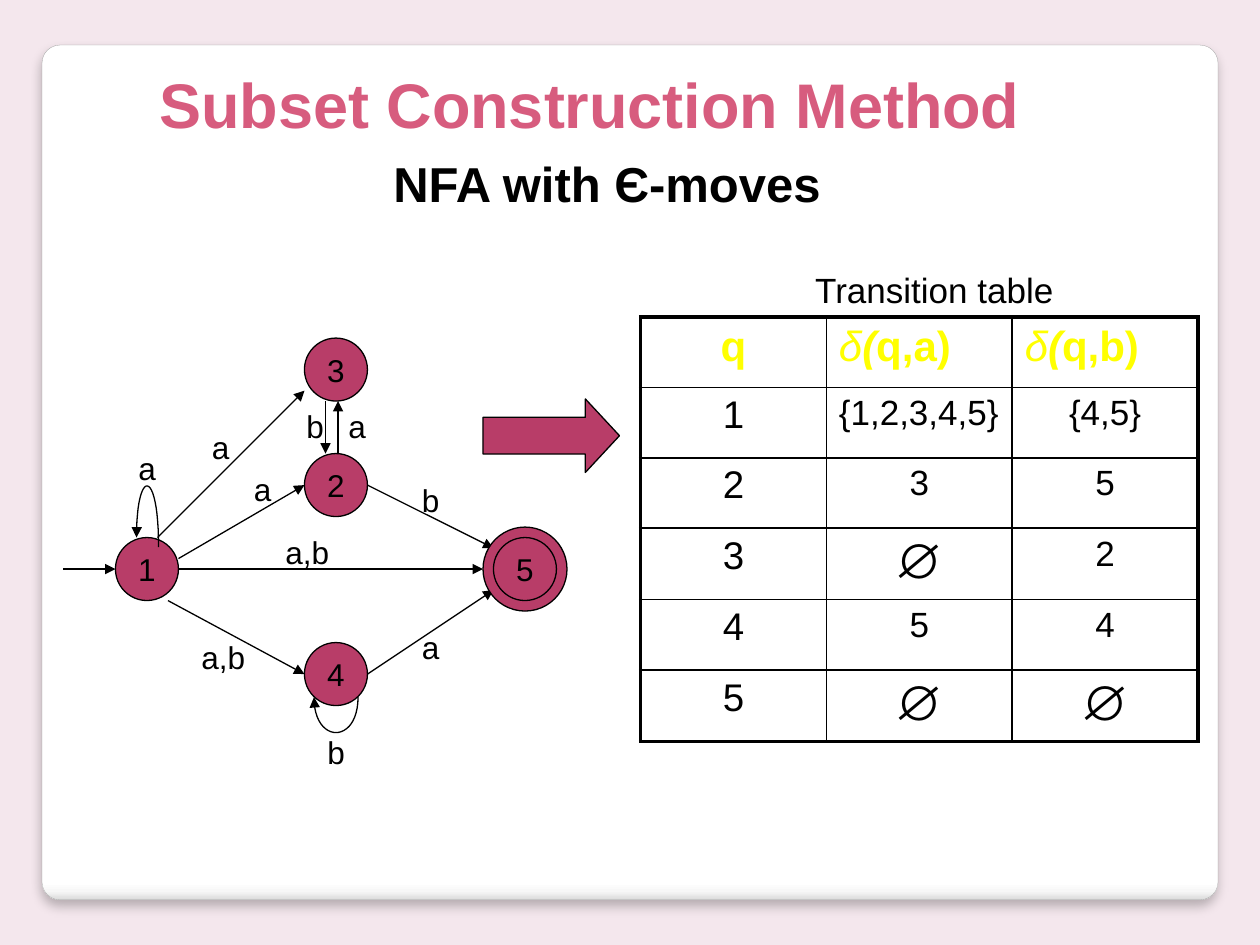
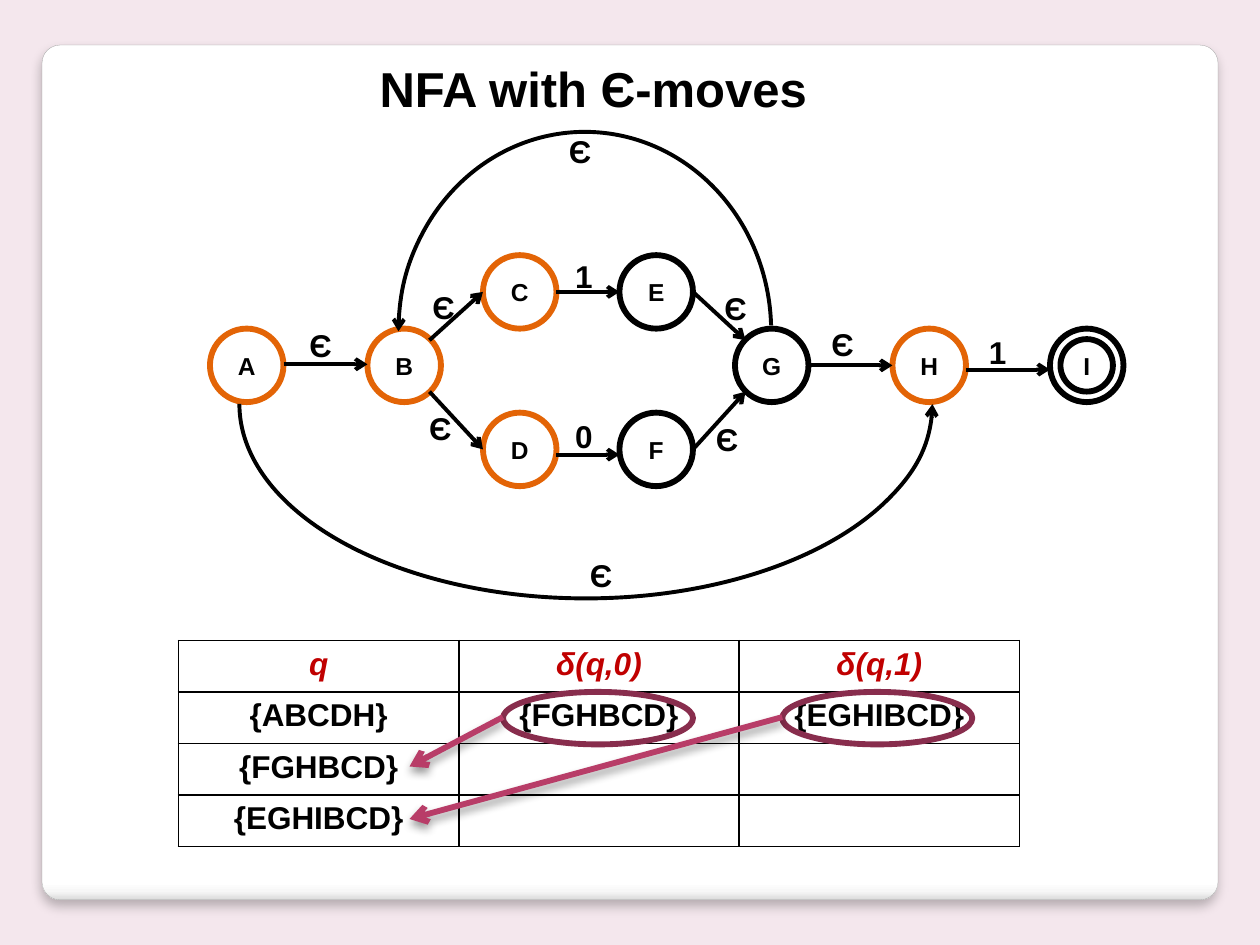
import lxml.etree
import pptx
import pptx.dml.color
import pptx.enum.shapes
import pptx.enum.text
import pptx.oxml.ns
import pptx.util

SHAPE = pptx.enum.shapes.MSO_SHAPE
ALIGN = pptx.enum.text.PP_ALIGN
ANCHOR = pptx.enum.text.MSO_ANCHOR
BLACK, WHITE, BACKDROP = "000000", "FFFFFF", "F4E7ED"
ROSE, TITLE_ROSE, PLUM, ORANGE = "B83D68", "D75C7E", "882D4D", "E36406"
YELLOW, RED = "FFFF00", "C00000"
PX = 7620


def px(*lengths):
    return [round(length * PX) for length in lengths]


def color(value):
    return pptx.dml.color.RGBColor.from_string(value)


def assign(target, **values):
    for name, value in values.items():
        setattr(target, name, value)


def child(parent, tag, **attributes):
    element = lxml.etree.SubElement(parent, pptx.oxml.ns.qn(tag))
    for name, value in attributes.items():
        element.set(name, str(value))
    return element


class Sketch:
    font = "Arial"

    def __init__(self):
        self.deck = pptx.Presentation()
        width, height = px(1200, 900)
        assign(self.deck, slide_width=width, slide_height=height)
        self.page = None

    def new_page(self):
        self.page = self.deck.slides.add_slide(self.deck.slide_layouts[6])
        fill = self.page.background.fill
        fill.solid()
        fill.fore_color.rgb = color(BACKDROP)
        card = self.shape(SHAPE.ROUNDED_RECTANGLE, 40, 43, 1120, 814, line="A4A4A4",
                          weight=0.16, adjust=[0.021], shadow=(25, 6, 4))
        card.fill.gradient()
        card.fill.gradient_angle = 270
        stops = card._element.spPr.find(".//" + pptx.oxml.ns.qn("a:gsLst"))
        for stop in list(stops):
            stops.remove(stop)
        for percent, tone in ((0, WHITE), (98, WHITE), (99, "F7F7F7"), (100, "DADADA")):
            child(child(stops, "a:gs", pos=percent * 1000), "a:srgbClr", val=tone)

    def outline(self, item, tone, weight, head=None, tail=None, shadow=None):
        item.line.color.rgb = color(tone)
        item.line.width = pptx.util.Pt(weight)
        for tag, kind in (("a:headEnd", head), ("a:tailEnd", tail)):
            if kind:
                child(item.line._get_or_add_ln(), tag, type=kind)
        effects = child(item._element.spPr, "a:effectLst")
        if shadow:
            alpha, blur, distance = shadow
            cast = child(effects, "a:outerShdw", blurRad=round(blur * 12700),
                         dist=distance * 12700, dir=5400000, algn="t", rotWithShape=0)
            child(child(cast, "a:srgbClr", val=BLACK), "a:alpha", val=alpha * 1000)

    def add_spans(self, para, spans, size, align=ALIGN.LEFT, tone=BLACK, **style):
        para.alignment = align
        for text, extra in spans:
            span = para.add_run()
            span.text = text
            assign(span.font, name=self.font, size=pptx.util.Pt(size), **{**style, **extra})
            span.font.color.rgb = color(tone)

    def shape(self, kind, left, top, width, height, fill=None, line=BLACK, weight=0.75,
              adjust=(), turn=0, **ends):
        item = self.page.shapes.add_shape(kind, *px(left, top, width, height))
        if fill:
            item.fill.solid()
            item.fill.fore_color.rgb = color(fill)
        else:
            item.fill.background()
        for index, value in enumerate(adjust):
            item.adjustments[index] = value
        item.rotation = turn
        self.outline(item, line, weight, **ends)
        return item

    def state(self, name, left, top, side, size=18, bold=False, **look):
        item = self.shape(SHAPE.OVAL, left, top, side, side, **look)
        assign(item.text_frame, word_wrap=False, vertical_anchor=ANCHOR.MIDDLE)
        if name:
            self.add_spans(item.text_frame.paragraphs[0], [(name, {})], size, ALIGN.CENTER,
                           bold=bold)

    def line(self, x1, y1, x2, y2, tone=BLACK, weight=0.75, tail="triangle", shadow=None):
        link = self.page.shapes.add_connector(
            pptx.enum.shapes.MSO_CONNECTOR.STRAIGHT, *px(x1, y1, x2, y2))
        self.outline(link, tone, weight, tail=tail, shadow=shadow)

    def loop(self, x1, y1, x2, y2, pull):
        points = []
        for step in range(25):
            t = step / 24
            u = 1 - t
            x = x1 * (u ** 3 + 3 * u * u * t) + x2 * (t ** 3 + 3 * u * t * t)
            y = y1 * u ** 3 + 3 * u * t * pull + y2 * t ** 3
            points.append(px(x, y))
        builder = self.page.shapes.build_freeform(*points[0])
        builder.add_line_segments(points[1:], close=False)
        curve = builder.convert_to_shape()
        curve.fill.background()
        self.outline(curve, BLACK, 0.75, tail="triangle")

    def text(self, words, left, top, width, height=48, size=18, wrap=True,
             anchor=ANCHOR.TOP, **style):
        box = self.page.shapes.add_textbox(*px(left, top, width, height))
        assign(box.text_frame, word_wrap=wrap, vertical_anchor=anchor)
        self.add_spans(box.text_frame.paragraphs[0], [(words, {})], size, **style)

    def subtitle(self, left, top, width):
        self.text("NFA with Є-moves", left, top, width, 68, 28, align=ALIGN.CENTER, bold=True)

    def table(self, rows, left, top, column, row, style, outer=1, fill=None):
        count, across = len(rows), len(rows[0])
        grid = self.page.shapes.add_table(
            count, across, *px(left, top, column * across, row * count)).table
        assign(grid, first_row=False, horz_banding=False)
        for item in grid.columns:
            item.width = px(column)[0]
        for item in grid.rows:
            item.height = px(row)[0]
        for i, values in enumerate(rows):
            for j, value in enumerate(values):
                cell = grid.cell(i, j)
                edges = {"L": j == 0, "R": j == across - 1, "T": i == 0, "B": i == count - 1}
                for side, outside in edges.items():
                    weight = outer if outside else 1
                    edge = child(cell._tc.get_or_add_tcPr(), "a:ln" + side,
                                 w=round(weight * 12700))
                    child(child(edge, "a:solidFill"), "a:srgbClr", val=BLACK)
                if fill:
                    cell.fill.solid()
                    cell.fill.fore_color.rgb = color(fill)
                else:
                    cell.fill.background()
                if value:
                    spans = [(value, {})] if isinstance(value, str) else value
                    self.add_spans(cell.text_frame.paragraphs[0], spans, **style(i, j, value))


def subset_style(i, j, value):
    if i == 0:
        return dict(size=24, tone=YELLOW, bold=True, align=ALIGN.LEFT if j else ALIGN.CENTER)
    size = 22 if j == 0 else 28 if value == "∅" else 20
    return dict(size=size, align=ALIGN.LEFT if (i, j) == (1, 1) else ALIGN.CENTER)


def closure_style(i, j, value):
    return dict(size=18, align=ALIGN.CENTER, bold=True, italic=i == 0,
                tone=BLACK if i else RED)


def delta(symbol):
    return [("δ", dict(bold=False, italic=True)), ("(", dict(italic=True)), (f"q,{symbol})", {})]


def draw_subset_construction(sketch):
    sketch.new_page()
    sketch.text("Subset Construction Method", 140, 50, 910, 90, 36,
                anchor=ANCHOR.BOTTOM, tone=TITLE_ROSE, bold=True)
    sketch.text("Transition table", 740, 250, 300, size=20, align=ALIGN.CENTER)
    for name, left, top in (("1", 110, 512), ("3", 290, 322), ("2", 290, 432), ("4", 290, 612)):
        sketch.state(name, left, top, 60, fill=ROSE)
    for ends in ((150, 512, 290, 372), (170, 532, 290, 462), (170, 542, 460, 542),
                 (160, 572, 290, 642), (350, 462, 470, 522), (350, 642, 470, 562),
                 (60, 542, 110, 542), (310, 382, 310, 432), (322, 432, 322, 382)):
        sketch.line(*ends)
    sketch.loop(151, 521, 130, 512, pull=445)
    sketch.loop(341, 664, 299, 664, pull=709)
    sketch.state("", 460, 502, 80, fill=ROSE)
    sketch.state("5", 470, 512, 60, fill=ROSE)
    for symbol, left, top in (
            ("a", 120, 422), ("a", 190, 402), ("a", 230, 442), ("b", 280, 382), ("a", 390, 592),
            ("b", 390, 452), ("b", 300, 692), ("a", 320, 382), ("a,b", 260, 502),
            ("a,b", 180, 602)):
        sketch.text(symbol, left, top, 41 if len(symbol) == 1 else 66, wrap=False)
    rows = [["q", delta("a"), delta("b")], ["1", "{1,2,3,4,5}", "{4,5}"], ["2", "3", "5"],
            ["3", "∅", "2"], ["4", "5", "4"], ["5", "∅", "∅"]]
    sketch.table(rows, 610, 302, 177, 67, subset_style, outer=2.25)
    sketch.shape(SHAPE.RIGHT_ARROW, 460, 380, 130, 70, fill=ROSE, adjust=[0.5, 0.464])
    sketch.subtitle(360, 140, 436)


def draw_epsilon_moves(sketch):
    sketch.new_page()
    for name, left, top in (("A", 200, 313), ("B", 350, 313), ("C", 460, 243), ("D", 460, 393),
                            ("E", 590, 243), ("F", 590, 393), ("G", 700, 313), ("H", 850, 313),
                            ("I", 1000, 313)):
        sketch.state(name, left, top, 70, size=14, bold=True, weight=3.35,
                     line=ORANGE if name in "ABCDH" else BLACK)
    sketch.state("", 1010, 323, 50, weight=3.35)
    for ends in ((530, 278, 590, 278), (530, 433, 590, 433), (409, 324, 460, 278),
                 (660, 278, 710, 324), (409, 373, 460, 428), (660, 428, 710, 373),
                 (770, 348, 850, 348), (920, 352, 1000, 352), (270, 347, 350, 347)):
        sketch.line(*ends, weight=2.25, tail="arrow")
    for frame, turn, sweep_end in (((367, 138, 380, 355), 270, 52.91),
                                   ((373, 55, 370, 660), 90, 54.03)):
        sketch.shape(SHAPE.ARC, *frame, weight=2.25, turn=turn,
                     adjust=[162, sweep_end], head="arrow")
    for symbol, left, top in (
            ("1", 536, 239), ("0", 536, 391), ("1", 930, 311), ("Є", 283, 305), ("Є", 400, 268),
            ("Є", 397, 384), ("Є", 678, 269), ("Є", 670, 394), ("Є", 780, 304), ("Є", 550, 524),
            ("Є", 530, 120)):
        sketch.text(symbol, left, top, 50, bold=True)
    sketch.subtitle(200, 50, 730)
    rows = [["q", "δ(q,0)", "δ(q,1)"], ["{ABCDH}", "{FGHBCD}", "{EGHIBCD}"],
            ["{FGHBCD}", "", ""], ["{EGHIBCD}", "", ""]]
    sketch.table(rows, 170, 610, 267, 49, closure_style, fill=WHITE)
    new_states = ((479, 730), (745, 780))
    for left, _ in new_states:
        sketch.shape(SHAPE.OVAL, left, 659, 181, 50, line=PLUM, weight=3.35)
    for left, target in new_states:
        sketch.line(left, 683, 390, target, ROSE, 3.35, "arrow", shadow=(40, 5.2, 3))


def main():
    sketch = Sketch()
    draw_subset_construction(sketch)
    draw_epsilon_moves(sketch)
    sketch.deck.save("out.pptx")


if __name__ == "__main__":
    main()
